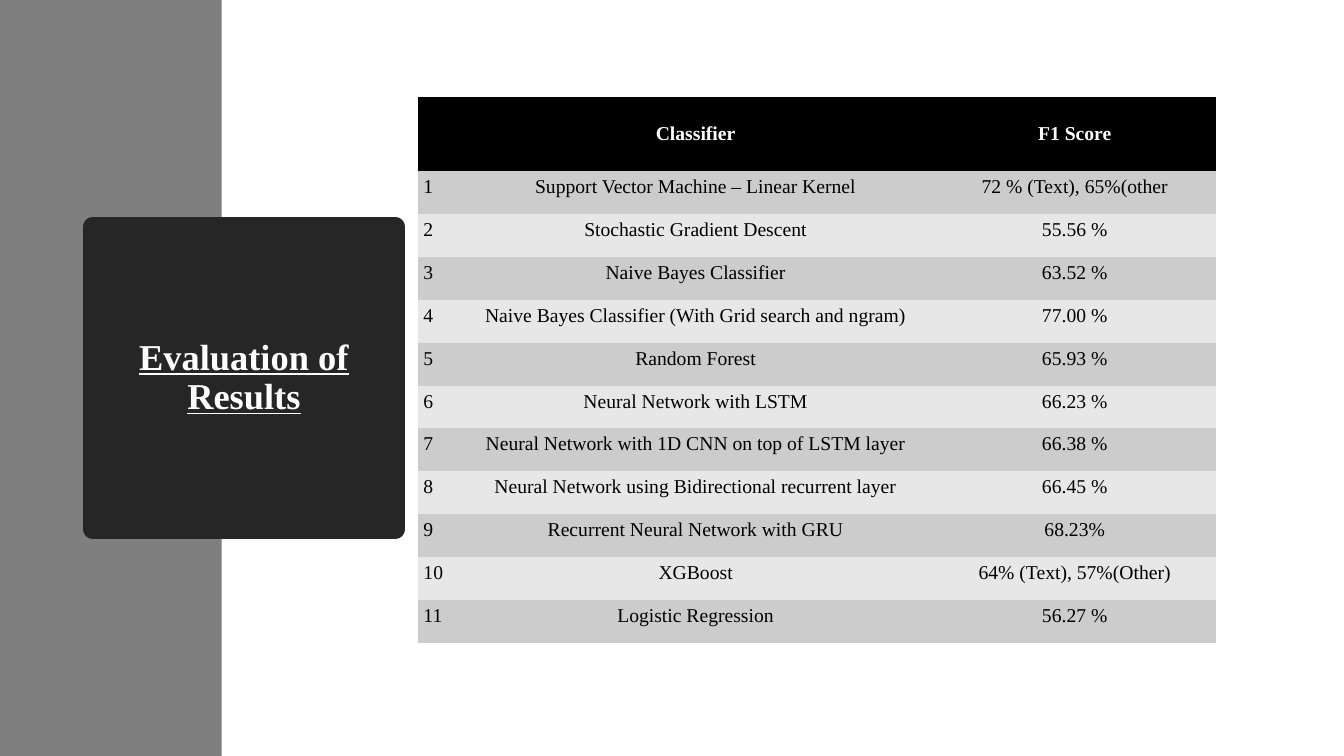
from pptx import Presentation
from pptx.dml.color import RGBColor
from pptx.enum.shapes import MSO_SHAPE
from pptx.enum.text import MSO_ANCHOR, MSO_AUTO_SIZE, PP_ALIGN
from pptx.oxml.ns import qn
from pptx.util import Inches, Pt

RECTANGLE = MSO_SHAPE.RECTANGLE
TOP, MIDDLE = MSO_ANCHOR.TOP, MSO_ANCHOR.MIDDLE
LEFT, CENTER = PP_ALIGN.LEFT, PP_ALIGN.CENTER
NO_AUTOFIT = MSO_AUTO_SIZE.NONE

WHITE = RGBColor(0xFF, 0xFF, 0xFF)
BLACK = RGBColor(0x00, 0x00, 0x00)
SIDEBAR_GRAY = RGBColor(0x7F, 0x7F, 0x7F)
TITLE_GRAY = RGBColor(0x26, 0x26, 0x26)
BANDS = (RGBColor(0xE7, 0xE7, 0xE7), RGBColor(0xCC, 0xCC, 0xCC))

FONT = "Times New Roman"
NO_GRID_STYLE = "{2D5ABB26-0587-4C30-8999-92F81FD0307C}"
COLUMN_WIDTHS = (0.39, 4.72, 2.8)
HEADER_HEIGHT = 0.74
BODY_HEIGHT = 4.68

HEADER = ("", "Classifier", "F1 Score")
RESULTS = (
    ("Support Vector Machine – Linear Kernel", "72 % (Text), 65%(other"),
    ("Stochastic Gradient Descent", "55.56 %"),
    ("Naive Bayes Classifier", "63.52 %"),
    ("Naive Bayes Classifier (With Grid search and ngram)", "77.00 %"),
    ("Random Forest", "65.93 %"),
    ("Neural Network with LSTM", "66.23 %"),
    ("Neural Network with 1D CNN on top of LSTM layer", "66.38 %"),
    ("Neural Network using Bidirectional recurrent layer", "66.45 %"),
    ("Recurrent Neural Network with GRU", "68.23%"),
    ("XGBoost", "64% (Text), 57%(Other)"),
    ("Logistic Regression", "56.27 %"),
)


def format_text(p, size, color, bold, align):
    p.alignment = align
    for r in p.runs:
        r.font.name = FONT
        r.font.size = Pt(size)
        r.font.bold = bold
        r.font.color.rgb = color


def add_sidebar(s):
    sp = s.shapes.add_shape(RECTANGLE, 0, 0, Inches(2.2), Inches(7.5))
    sp.shadow.inherit = False
    sp.fill.solid()
    sp.fill.fore_color.rgb = SIDEBAR_GRAY
    sp.line.fill.background()
    s.shapes._spTree.insert(2, sp._element)


def set_title(s, text):
    sp = s.shapes.title
    sp.left, sp.top = Inches(0.92), Inches(2.25)
    sp.width = sp.height = Inches(3)
    sp.fill.solid()
    sp.fill.fore_color.rgb = TITLE_GRAY
    sp.line.color.rgb = TITLE_GRAY
    sp.line.width = Pt(13.75)
    tf = sp.text_frame
    tf.text = text
    tf.word_wrap = True
    tf.auto_size = NO_AUTOFIT
    tf.vertical_anchor = MIDDLE
    p = tf.paragraphs[0]
    p.line_spacing = 0.9
    format_text(p, 26, WHITE, True, CENTER)
    p.runs[0].font.underline = True


def fill_cell(cell, text, fill, color, bold, align, anchor):
    cell.fill.solid()
    cell.fill.fore_color.rgb = fill
    cell.margin_left = cell.margin_right = Inches(0.05)
    cell.margin_top = cell.margin_bottom = Inches(0.05)
    cell.vertical_anchor = anchor
    cell.text_frame.text = text
    format_text(cell.text_frame.paragraphs[0], 14, color, bold, align)


def add_results_table(s):
    frame = s.shapes.add_table(
        len(RESULTS) + 1, len(HEADER), Inches(4.15), Inches(0.96),
        Inches(sum(COLUMN_WIDTHS)), Inches(HEADER_HEIGHT + BODY_HEIGHT))
    table = frame.table
    table._tbl.tblPr.find(qn("a:tableStyleId")).text = NO_GRID_STYLE
    for column, width in zip(table.columns, COLUMN_WIDTHS):
        column.width = Inches(width)
    for row in table.rows:
        row.height = Inches(BODY_HEIGHT / len(RESULTS))
    table.rows[0].height = Inches(HEADER_HEIGHT)

    for col, text in enumerate(HEADER):
        fill_cell(table.cell(0, col), text, BLACK, WHITE, True, CENTER, MIDDLE)
    for number, result in enumerate(RESULTS, 1):
        for col, text in enumerate((str(number), *result)):
            fill_cell(table.cell(number, col), text, BANDS[number % 2], BLACK,
                      False, CENTER if col else LEFT, TOP)


def main():
    prs = Presentation()
    prs.slide_width, prs.slide_height = Inches(13.33), Inches(7.5)
    s = prs.slides.add_slide(prs.slide_layouts[5])
    add_sidebar(s)
    set_title(s, "Evaluation of Results")
    add_results_table(s)
    prs.save("out.pptx")


if __name__ == "__main__":
    main()
